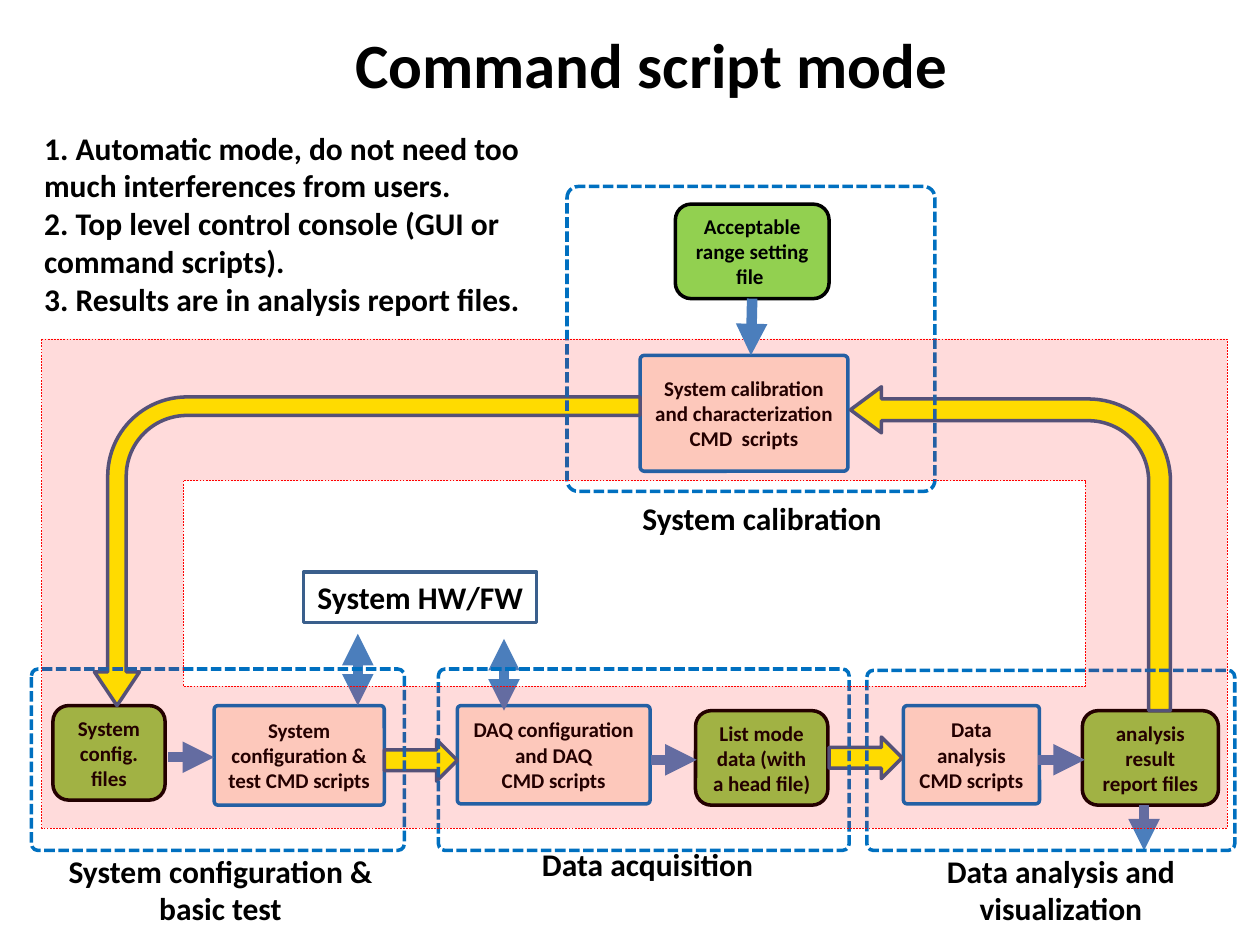
from lxml import etree
from pptx import Presentation
from pptx.dml.color import RGBColor
from pptx.enum.dml import MSO_LINE
from pptx.enum.shapes import MSO_CONNECTOR, MSO_SHAPE
from pptx.enum.text import MSO_ANCHOR, MSO_AUTO_SIZE, PP_ALIGN
from pptx.oxml.ns import qn
from pptx.util import Inches, Pt

ROUND, RECT, FRAME = MSO_SHAPE.ROUNDED_RECTANGLE, MSO_SHAPE.RECTANGLE, MSO_SHAPE.FRAME
BENT, RIGHT = MSO_SHAPE.BENT_ARROW, MSO_SHAPE.RIGHT_ARROW
DASH, SYS_DASH = MSO_LINE.DASH, MSO_LINE.SQUARE_DOT
LEFT, CENTER = PP_ALIGN.LEFT, PP_ALIGN.CENTER
TOP, MIDDLE = MSO_ANCHOR.TOP, MSO_ANCHOR.MIDDLE

THEME = {
    "font": "Calibri", "title": 36, "label": 18, "card": 12,
    "text": "000000", "script": "FDEADA", "file": "92D050", "flow": "FFFF00",
    "group": "0070C0", "edge": "3A5F8C", "arrow": "4B7EBC", "loop": "FF0000",
    "line": 2, "thin": 0.25, "thick": 6, "corner": 0.037,
}

# Content: boxes are (left, top, width, height) in inches
TITLE = "Command script mode"
POINTS = [
    "1. Automatic mode, do not need too much interferences from users.",
    "2. Top level control console (GUI or command scripts).",
    "3. Results are in analysis report files.",
]
SCRIPTS = [
    (["Data analysis CMD scripts"], (7.17, 5.6, 1.08, 0.78)),
    (["System calibration and characterization", "CMD  scripts"], (5.08, 2.82, 1.65, 0.92)),
    (["DAQ configuration and DAQ", "CMD scripts"], (3.63, 5.6, 1.53, 0.78)),
    (["System configuration & test CMD scripts"], (1.7, 5.6, 1.35, 0.79)),
]
FILES = [
    (["List mode data (with a head file)"], (5.52, 5.64, 1.05, 0.75)),
    (["analysis result report files"], (8.59, 5.64, 1.08, 0.75)),
    (["System config. files"], (0.42, 5.6, 0.89, 0.75)),
    (["Acceptable range setting file "], (5.36, 1.62, 1.22, 0.75)),
]
BENT_FLOWS = [  # box, adjustments, rotation
    ((6.75, 3.07, 2.54, 2.57), (0.068, 0.072, 0.097, 0.257), 0),
    ((1.69, 2.21, 2.45, 4.33), (0.06, 0.073, 0.109, 0.257), 270),
]
STRAIGHT_FLOWS = [(6.58, 5.85, 0.58, 0.33), (3.05, 5.87, 0.58, 0.33)]
ARROWS = [  # tip, other end, two-headed
    ((8.61, 6.03), (8.24, 6.03), False),
    ((9.08, 6.75), (9.08, 6.39), False),
    ((5.53, 6.03), (5.17, 6.03), False),
    ((1.7, 6.01), (1.33, 6.01), False),
    ((4, 5.07), (4, 5.64), True),
    ((2.84, 5.03), (2.84, 5.6), True),
]
RANGE_ARROW = ((5.96, 2.82), (5.97, 2.37), False)
GROUPS = [
    (4.5, 1.48, 2.92, 2.42), (6.88, 5.32, 2.92, 1.43),
    (0.25, 5.31, 2.96, 1.44), (3.48, 5.31, 3.26, 1.44),
]
LABELS = [  # text, box, alignment, wrap
    ("System calibration", (5, 3.91, 2.17, 0.4), LEFT, False),
    ("System configuration & basic test", (0.16, 6.71, 3.18, 0.71), CENTER, True),
    ("Data acquisition", (3.55, 6.66, 3.18, 0.4), CENTER, True),
    ("Data analysis and visualization", (6.96, 6.71, 2.92, 0.71), CENTER, True),
]
HARDWARE = ("System HW/FW", (2.41, 4.54, 1.85, 0.4))
LOOP = (0.33, 2.69, 9.41, 3.88)


def color(name):
    return RGBColor.from_string(THEME[name])


def inches(values):
    return [Inches(v) for v in values]


def place(sp, box):
    sp.left, sp.top, sp.width, sp.height = inches(box)


def write(sp, paragraphs, size, align=CENTER, anchor=MIDDLE, wrap=True):
    tf = sp.text_frame
    tf.word_wrap = wrap
    tf.vertical_anchor = anchor
    tf.auto_size = MSO_AUTO_SIZE.NONE
    for i, text in enumerate(paragraphs):
        p = tf.paragraphs[0] if i == 0 else tf.add_paragraph()
        p.alignment = align
        r = p.add_run()
        r.text = text
        r.font.name = THEME["font"]
        r.font.size = Pt(THEME[size])
        r.font.bold = True
        r.font.color.rgb = color("text")


def add_box(s, kind, box, fill, line, adjust=(), width="line", dash=None):
    sp = s.shapes.add_shape(kind, *inches(box))
    sp.shadow.inherit = False
    for i, value in enumerate(adjust):
        sp.adjustments[i] = value
    if fill:
        sp.fill.solid()
        sp.fill.fore_color.rgb = color(fill)
    else:
        sp.fill.background()
    sp.line.color.rgb = color(line)
    sp.line.width = Pt(THEME[width])
    if dash:
        sp.line.dash_style = dash
    return sp


def add_arrow(s, tip, end, double):
    c = s.shapes.add_connector(MSO_CONNECTOR.STRAIGHT, *inches(tip + end))
    c.line.color.rgb = color("arrow")
    c.line.width = Pt(THEME["thick"])
    ln = c.line._get_or_add_ln()
    for tag in ("a:headEnd", "a:tailEnd")[:2 if double else 1]:
        etree.SubElement(ln, qn(tag), type="triangle")
    etree.SubElement(c._element.spPr, qn("a:effectLst"))


def main():
    prs = Presentation()
    prs.slide_width, prs.slide_height = Inches(10), Inches(7.5)
    s = prs.slides.add_slide(prs.slide_layouts[1])

    # Title and numbered points
    place(s.shapes.title, (2.1, 0, 6.14, 1))
    write(s.shapes.title, [TITLE], "title")
    body = s.placeholders[1]
    place(body, (0.25, 0.97, 4.06, 1.62))
    write(body, POINTS, "label", LEFT, TOP)
    for p in body.text_frame.paragraphs:
        p.space_before = Pt(0)
        pPr = p._p.get_or_add_pPr()
        pPr.set("marL", "0")
        pPr.set("indent", "0")
        etree.SubElement(pPr, qn("a:buNone"))

    # Script and file cards
    for paragraphs, box in SCRIPTS:
        sp = add_box(s, ROUND, box, "script", "group", [THEME["corner"]])
        write(sp, paragraphs, "card")
    for paragraphs, box in FILES:
        write(add_box(s, ROUND, box, "file", "text"), paragraphs, "card")

    # Yellow flow arrows
    for box, adjust, rotation in BENT_FLOWS:
        sp = add_box(s, BENT, box, "flow", "edge", adjust)
        sp.rotation = rotation
        sp._element.spPr.xfrm.set("flipH", "1")
    for box in STRAIGHT_FLOWS:
        add_box(s, RIGHT, box, "flow", "edge")

    # Hardware box and blue arrows
    text, box = HARDWARE
    write(add_box(s, RECT, box, None, "edge"), [text], "label", anchor=TOP, wrap=False)
    for arrow in ARROWS:
        add_arrow(s, *arrow)

    # Dashed groups and their labels
    for box in GROUPS:
        add_box(s, ROUND, box, None, "group", [THEME["corner"]], dash=SYS_DASH)
    for text, box, align, wrap in LABELS:
        write(s.shapes.add_textbox(*inches(box)), [text], "label", align, TOP, wrap)

    # Translucent loop frame, with the range arrow above it
    loop = add_box(s, FRAME, LOOP, "loop", "loop", [0.29], "thin", DASH)
    fill = loop._element.spPr.find(qn("a:solidFill"))
    etree.SubElement(fill[0], qn("a:alpha"), val="14000")
    add_arrow(s, *RANGE_ARROW)

    prs.save("out.pptx")


if __name__ == "__main__":
    main()
